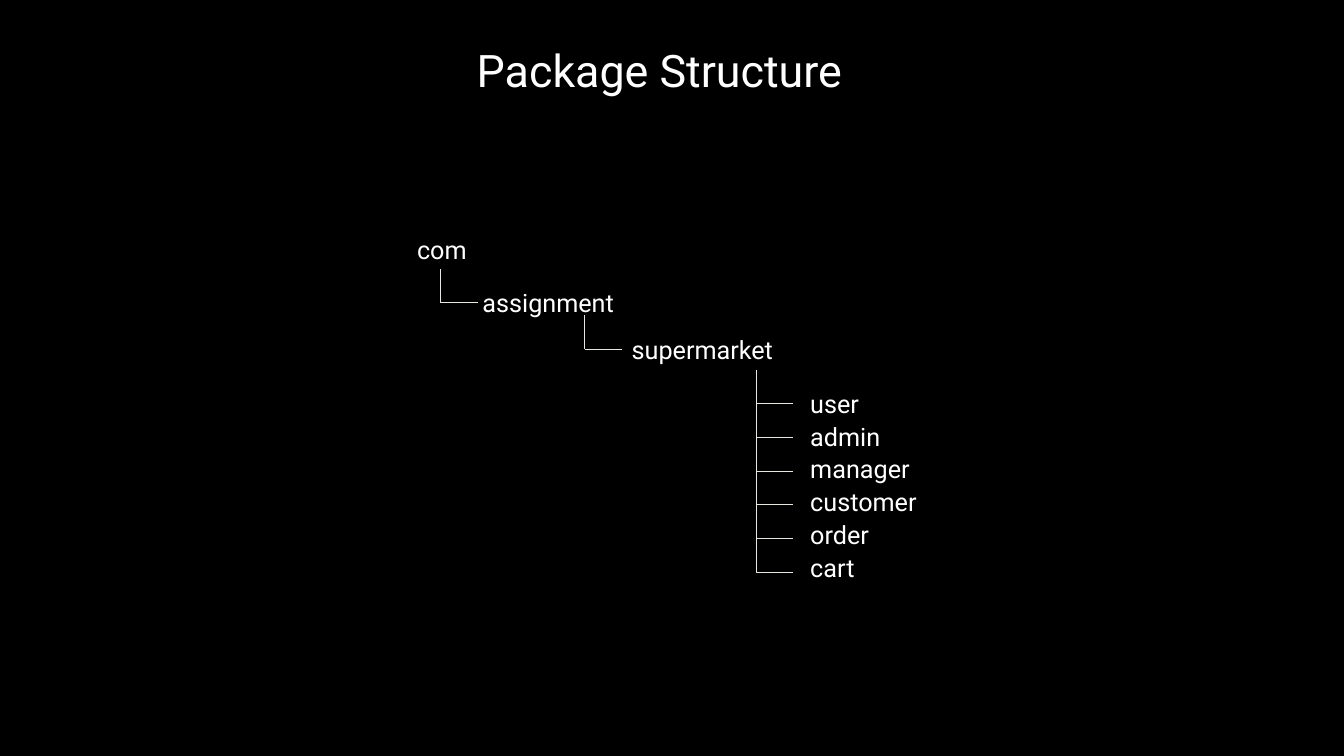
from lxml import etree
from pptx import Presentation
from pptx.dml.color import RGBColor
from pptx.enum.shapes import MSO_CONNECTOR
from pptx.enum.text import MSO_ANCHOR, MSO_AUTO_SIZE, PP_ALIGN
from pptx.oxml.ns import qn
from pptx.util import Cm, Pt

STRAIGHT = MSO_CONNECTOR.STRAIGHT
TOP = MSO_ANCHOR.TOP
GROW = MSO_AUTO_SIZE.SHAPE_TO_FIT_TEXT
LEFT = PP_ALIGN.LEFT

TITLE = "Package Structure"
# name, left, top, width (cm)
PARENTS = [
    ("com", 10.26, 5.77, 2.5),
    ("assignment", 11.91, 7.11, 5.64),
    ("supermarket", 15.67, 8.31, 4.5),
]
LEAVES = ["user", "admin", "manager", "customer", "order", "cart"]
# trunk x, trunk top, number of branches
TRUNKS = [(11.1, 6.78, 1), (14.73, 7.95, 1), (19.05, 9.32, len(LEAVES))]

COLORS = {"background": "000000", "text": "FFFFFF", "line": "E9E6DF"}
FONT = "Roboto"
LABEL_HEIGHT = 1.02
LEAF_LEFT, LEAF_TOP, LEAF_WIDTH, LEAF_PITCH = 20.17, 9.65, 3.45, 0.83
BRANCH_LENGTH, BRANCH_PITCH = 0.94, 0.85


def color(name):
    return RGBColor.from_string(COLORS[name])


def write(shape, text, size):
    tf = shape.text_frame
    tf.word_wrap = True
    tf.auto_size = GROW
    tf.vertical_anchor = TOP
    p = tf.paragraphs[0]
    p.alignment = LEFT
    r = p.add_run()
    r.text = text
    r.font.name = FONT
    r.font.size = Pt(size)
    r.font.color.rgb = color("text")


def add_label(slide, text, left, top, width):
    box = slide.shapes.add_textbox(Cm(left), Cm(top), Cm(width), Cm(LABEL_HEIGHT))
    write(box, text, 18)


def add_line(slide, x1, y1, x2, y2):
    line = slide.shapes.add_connector(STRAIGHT, Cm(x1), Cm(y1), Cm(x2), Cm(y2))
    line.line.color.rgb = color("line")
    line.line.width = Pt(0.5)
    etree.SubElement(line._element.spPr, qn("a:effectLst"))


def main():
    prs = Presentation()
    prs.slide_width, prs.slide_height = Cm(33.87), Cm(19.05)
    s = prs.slides.add_slide(prs.slide_layouts[5])
    s.background.fill.solid()
    s.background.fill.fore_color.rgb = color("background")

    title = s.shapes.title
    title.left, title.top = Cm(11.76), Cm(0.94)
    title.width, title.height = Cm(13.08), Cm(1.62)
    write(title, TITLE, 32)

    for parent in PARENTS:
        add_label(s, *parent)
    for i, leaf in enumerate(LEAVES):
        add_label(s, leaf, LEAF_LEFT, LEAF_TOP + i * LEAF_PITCH, LEAF_WIDTH)

    for x, top, branches in TRUNKS:
        for i in range(branches):
            start = top + i * BRANCH_PITCH
            end = start + BRANCH_PITCH
            add_line(s, x, start, x, end)
            add_line(s, x, end, x + BRANCH_LENGTH, end)

    prs.save("out.pptx")


if __name__ == "__main__":
    main()
